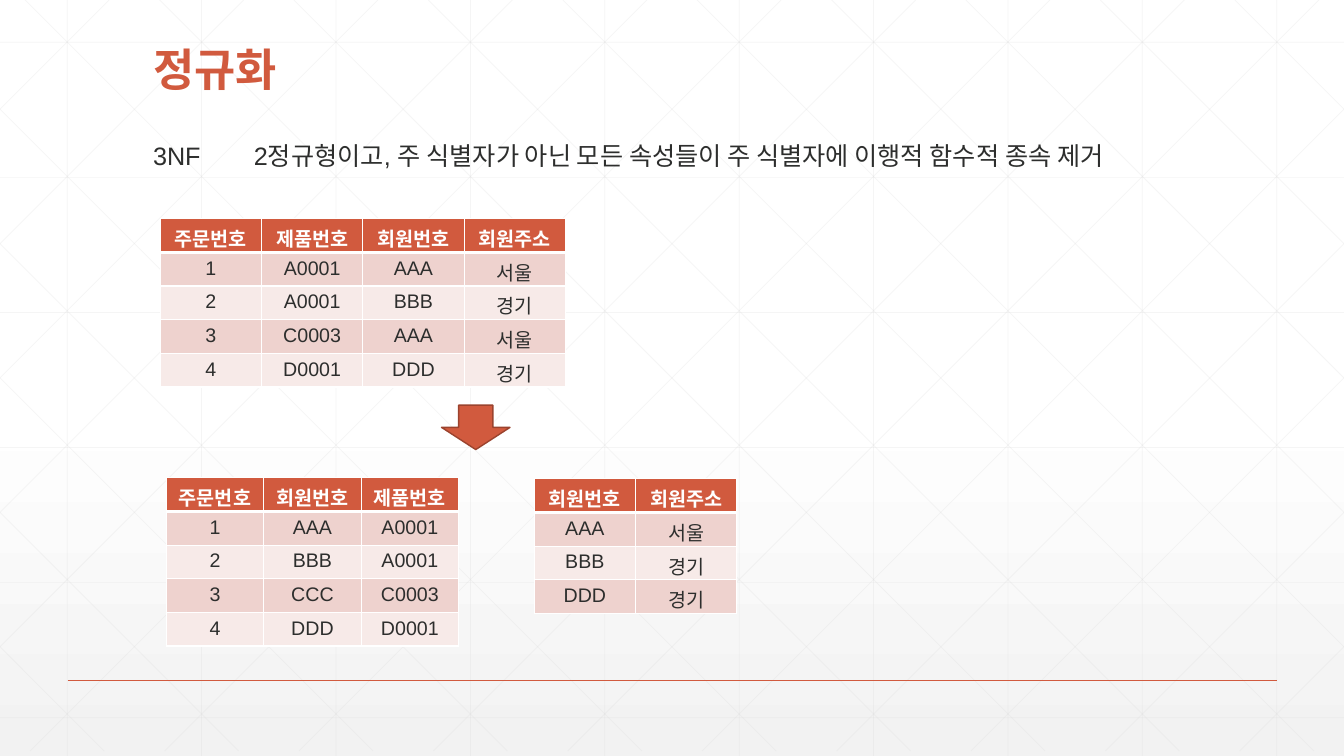
import pptx
import pptx.util
import pptx.dml.color
import pptx.enum.shapes
import pptx.enum.text
import pptx.oxml
import pptx.oxml.ns
from lxml import etree

Inches, Pt = pptx.util.Inches, pptx.util.Pt
qn = pptx.oxml.ns.qn
FONT, ACCENT, ACCENT_DARK, INK, WHITE = "Arial", "D15A3E", "9B432E", "2D2E2D", "FFFFFF"
BANDS = ("EED2CE", "F7EAE8")
GRID = "D9D9D9"
W, H = 13.333, 7.5
STEP_X, STEP_Y = W / 10, 1.34

# Content
TITLE = "정규화"
RULE = "3NF \t2정규형이고, 주 식별자가 아닌 모든 속성들이 주 식별자에 이행적 함수적 종속 제거"
TABLES = [  # left, top, width, rows
    (1.59, 2.17, 4.02, [
        ("주문번호", "제품번호", "회원번호", "회원주소"),
        ("1", "A0001", "AAA", "서울"),
        ("2", "A0001", "BBB", "경기"),
        ("3", "C0003", "AAA", "서울"),
        ("4", "D0001", "DDD", "경기")]),
    (1.65, 4.74, 2.9, [
        ("주문번호", "회원번호", "제품번호"),
        ("1", "AAA", "A0001"),
        ("2", "BBB", "A0001"),
        ("3", "CCC", "C0003"),
        ("4", "DDD", "D0001")]),
    (5.3, 4.75, 2.01, [
        ("회원번호", "회원주소"),
        ("AAA", "서울"),
        ("BBB", "경기"),
        ("DDD", "경기")]),
]
ROW_H = 0.333


def rgb(color):
    return pptx.dml.color.RGBColor.from_string(color)


def add_line(x1, y1, x2, y2, color, width, opacity=100):
    c = s.shapes.add_connector(pptx.enum.shapes.MSO_CONNECTOR.STRAIGHT,
                               Inches(x1), Inches(y1), Inches(x2), Inches(y2))
    c.line.color.rgb = rgb(color)
    c.line.width = Pt(width)
    if opacity < 100:
        clr = next(c._element.spPr.iter(qn("a:srgbClr")))
        etree.SubElement(clr, qn("a:alpha")).set("val", str(opacity * 1000))
    etree.SubElement(c._element.spPr, qn("a:effectLst"))


def style(p, size, color, bold=False):
    for r in p.runs:
        r.font.name, r.font.size, r.font.bold = FONT, Pt(size), bold
        r.font.color.rgb = rgb(color)


def add_text(x, y, w, h, text, size, color, bold=False, anchor="TOP"):
    tf = s.shapes.add_textbox(Inches(x), Inches(y), Inches(w), Inches(h)).text_frame
    tf.word_wrap = True
    tf.vertical_anchor = getattr(pptx.enum.text.MSO_ANCHOR, anchor)
    p = tf.paragraphs[0]
    p.text = text
    style(p, size, color, bold)
    return p


def set_borders(cell, bottom, top):
    tcPr = cell._tc.get_or_add_tcPr()
    widths = (("a:lnL", 1), ("a:lnR", 1), ("a:lnT", top), ("a:lnB", bottom))
    for i, (tag, width) in enumerate(widths):
        ln = etree.Element(qn(tag), w=str(Pt(width)))
        fill = etree.SubElement(ln, qn("a:solidFill"))
        etree.SubElement(fill, qn("a:srgbClr")).set("val", WHITE)
        tcPr.insert(i, ln)


def add_table(x, y, w, rows):
    cols = len(rows[0])
    table = s.shapes.add_table(len(rows), cols, Inches(x), Inches(y),
                               Inches(w), Inches(ROW_H * len(rows))).table
    for i, row in enumerate(rows):
        head = i == 0
        for j, text in enumerate(row):
            cell = table.cell(i, j)
            cell.fill.solid()
            cell.fill.fore_color.rgb = rgb(ACCENT if head else BANDS[(i - 1) % 2])
            set_borders(cell, 3 if head else 1, 3 if i == 1 else 1)
            p = cell.text_frame.paragraphs[0]
            p.text = text
            p.alignment = pptx.enum.text.PP_ALIGN.CENTER
            style(p, 14, WHITE if head else INK, head)


prs = pptx.Presentation()
prs.slide_width, prs.slide_height = Inches(W), Inches(H)
s = prs.slides.add_slide(prs.slide_layouts[6])

# Background fading to grey at the bottom
bg = s.background.fill
bg.gradient()
bg.gradient_angle = 270
for stop, position, color in zip(bg.gradient_stops, (0.53, 1), (WHITE, "F2F2F2")):
    stop.position = position
    stop.color.rgb = rgb(color)

# Faint grid: verticals, horizontals, then mirrored diagonals cut at the edges
grid = [(STEP_X * (i + 0.5), 0, STEP_X * (i + 0.5), H) for i in range(10)]
grid += [(0, 0.42 + STEP_Y * i, W, 0.42 + STEP_Y * i) for i in range(6)]
for i in range(-5, 10):
    start = 0.25 + STEP_X * i
    x1, x2 = max(start, 0), min(start + 7.45, W)
    y1, y2 = x1 - start, min(x2 - start, H)
    grid += [(x1, y1, x2, y2), (W - x1, y1, W - x2, y2)]
for ends in grid:
    add_line(*ends, GRID, 0.5, 25)
add_line(0.67, 6.75, 12.67, 6.75, ACCENT, 1)

# Title and rule
add_text(1.42, 0.39, 10.5, 0.61, TITLE, 32, ACCENT, True, "BOTTOM").line_spacing = 0.9
add_text(1.42, 1.34, 11.57, 0.4, RULE, 18, INK)

# Tables before and after the split, with the arrow between
for spec_row in TABLES:
    add_table(*spec_row)
arrow = s.shapes.add_shape(pptx.enum.shapes.MSO_SHAPE.DOWN_ARROW,
                           Inches(4.38), Inches(4.02), Inches(0.68), Inches(0.44))
arrow.shadow.inherit = False
arrow.fill.solid()
arrow.fill.fore_color.rgb = rgb(ACCENT)
arrow.line.color.rgb = rgb(ACCENT_DARK)
arrow.line.width = Pt(1)

prs.save("out.pptx")
